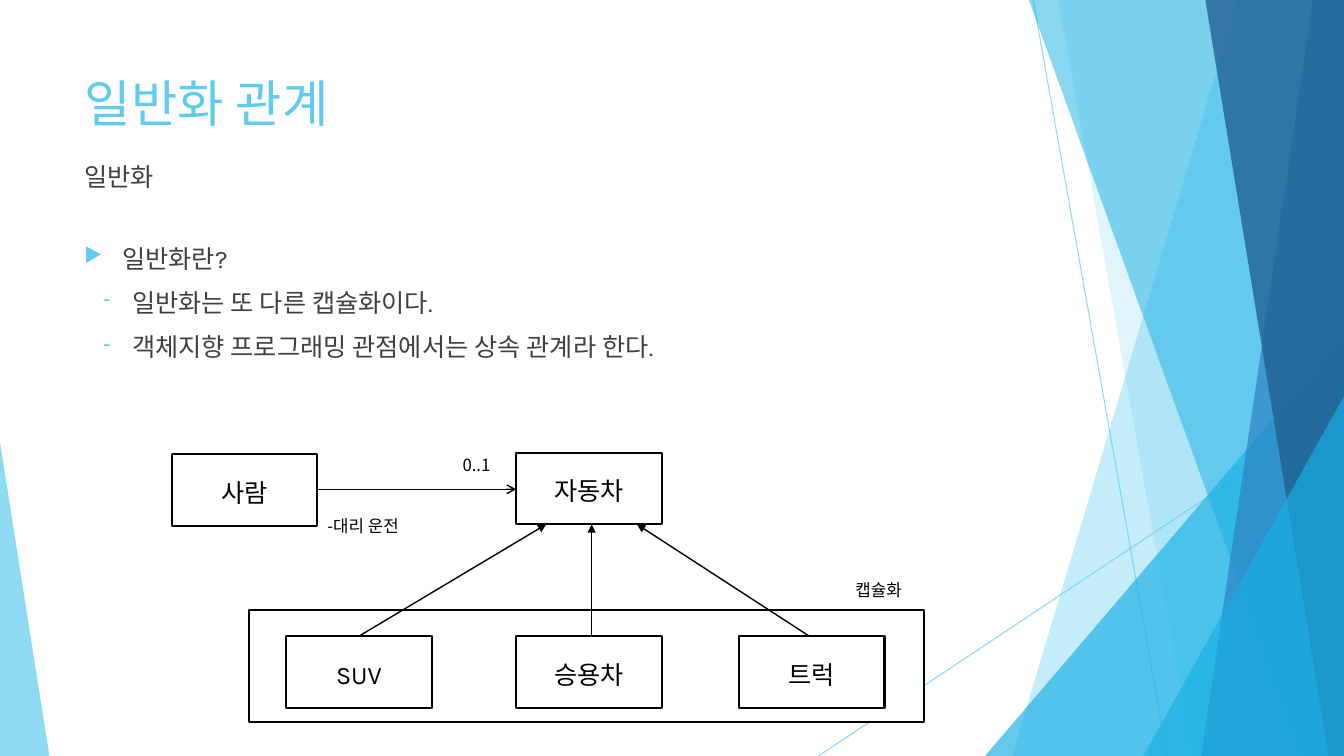
from lxml import etree
from pptx import Presentation
from pptx.dml.color import RGBColor
from pptx.enum.shapes import MSO_CONNECTOR, MSO_SHAPE
from pptx.enum.text import MSO_ANCHOR, PP_ALIGN
from pptx.oxml.ns import qn
from pptx.util import Pt

SKY = RGBColor(0x5F, 0xCB, 0xEF)
CYAN = RGBColor(0x17, 0xB0, 0xE4)
BLUE = RGBColor(0x2E, 0x83, 0xC3)
NAVY = RGBColor(0x22, 0x62, 0x92)
GREY = RGBColor(0x40, 0x40, 0x40)
BLACK = RGBColor(0, 0, 0)
WHITE = RGBColor(0xFF, 0xFF, 0xFF)

MAIN_FONT, LABEL_FONT = "Karla", "Noto Sans CJK KR"
WIDTH, HEIGHT = 960, 540
NODE_WIDTH, NODE_HEIGHT = 104, 51


def add_xml(parent, tag, **attributes):
    return etree.SubElement(parent, qn(tag), attributes)


def set_alpha(shape, percent):
    color = next(shape._element.spPr.iter(qn("a:srgbClr")))
    add_xml(color, "a:alpha", val=str(percent * 1000))


def write_text(para, text, size=18, font=MAIN_FONT, color=BLACK, align=PP_ALIGN.LEFT,
               before=0, after=0, spacing=None):
    para.alignment = align
    para.space_before, para.space_after = Pt(before), Pt(after)
    if spacing:
        para.line_spacing = spacing
    span = para.add_run()
    span.text = text
    span.font.size, span.font.name = Pt(size), font
    span.font.color.rgb = color
    add_xml(span.font._element, "a:ea", typeface=font)


def add_bullet(para, mark, margin, hanging):
    properties = para._p.get_or_add_pPr()
    properties.set("marL", str(Pt(margin)))
    properties.set("indent", str(-Pt(hanging)))
    add_xml(add_xml(properties, "a:buClr"), "a:srgbClr", val=str(SKY))
    add_xml(properties, "a:buSzPct", val="80000")
    add_xml(properties, "a:buChar", char=mark)


def paint(shape, fill, alpha=None):
    shape.shadow.inherit = False
    shape.fill.solid()
    shape.fill.fore_color.rgb = fill
    shape.line.fill.background()
    if alpha:
        set_alpha(shape, alpha)


def add_facet(page, points, fill, alpha):
    builder = page.shapes.build_freeform(*points[0], scale=Pt(1))
    builder.add_line_segments(points[1:], close=True)
    paint(builder.convert_to_shape(), fill, alpha)


def add_triangle(page, left, top, width, apex, fill, alpha):
    shape = page.shapes.add_shape(MSO_SHAPE.ISOSCELES_TRIANGLE, Pt(left), Pt(top),
                                  Pt(width), Pt(HEIGHT - top))
    shape.adjustments[0] = apex
    paint(shape, fill, alpha)


def add_line(page, start, end, color=BLACK, width=1, head=None, alpha=None):
    line = page.shapes.add_connector(MSO_CONNECTOR.STRAIGHT,
                                     *(Pt(value) for value in (*start, *end)))
    line.line.color.rgb, line.line.width = color, Pt(width)
    if head:
        add_xml(line.line._get_or_add_ln(), "a:tailEnd", type=head)
    if alpha:
        set_alpha(line, alpha)
    add_xml(line._element.spPr, "a:effectLst")


def add_box(page, left, top, width, height, line=BLACK, weight=1.5):
    box = page.shapes.add_shape(MSO_SHAPE.RECTANGLE, Pt(left), Pt(top), Pt(width), Pt(height))
    paint(box, WHITE)
    box.line.color.rgb, box.line.width = line, Pt(weight)
    return box


def add_node(page, text, left, top):
    frame = add_box(page, left, top, NODE_WIDTH, NODE_HEIGHT).text_frame
    frame.vertical_anchor = MSO_ANCHOR.MIDDLE
    write_text(frame.paragraphs[0], text, align=PP_ALIGN.CENTER, spacing=1.15)


def add_label(page, text, left, top, width, height):
    frame = add_box(page, left, top, width, height, line=WHITE, weight=0.75).text_frame
    frame.vertical_anchor = MSO_ANCHOR.TOP
    write_text(frame.paragraphs[0], text, size=12, font=LABEL_FONT,
               align=PP_ALIGN.JUSTIFY, spacing=1.15, after=10)


def add_text_box(page, top, height):
    box = page.shapes.add_textbox(Pt(53.3), Pt(top), Pt(676.8), Pt(height))
    box.text_frame.word_wrap = True
    return box.text_frame


def draw_background(page):
    add_line(page, (738, 0), (833.8, HEIGHT), SKY, 0.75, alpha=70)
    add_line(page, (WIDTH, 290.2), (584.6, HEIGHT), SKY, 0.75, alpha=70)

    def add_band(top_x, bottom_x, fill, alpha):
        add_facet(page, [(top_x, 0), (WIDTH, 0), (WIDTH, HEIGHT), (bottom_x, HEIGHT)],
                  fill, alpha)

    add_band(884.2, 722.9, SKY, 36)
    add_band(756, 851.8, SKY, 20)
    add_triangle(page, 703.6, 239.8, 256.4, 1, CYAN, 66)
    add_band(735.3, 929.5, CYAN, 50)
    add_band(938.2, 858.3, BLUE, 70)
    add_band(861.2, 949, NAVY, 80)
    add_triangle(page, 816.7, 283, 143.3, 1, CYAN, 66)
    add_triangle(page, 0, 316.1, 35.3, 0, SKY, 70)


def draw_text(page):
    title = page.shapes.title
    title.left, title.top, title.width, title.height = Pt(53.3), Pt(48.2), Pt(676.8), Pt(54.7)
    title.text_frame.vertical_anchor = MSO_ANCHOR.TOP
    write_text(title.text_frame.paragraphs[0], "일반화 관계", size=36, color=SKY)

    body = add_text_box(page, 169.9, 123.1)
    points = [("일반화란?", "▶", 27, 27),
              ("일반화는 또 다른 캡슐화이다.", "-", 34, 20.25),
              ("객체지향 프로그래밍 관점에서는 상속 관계라 한다.", "-", 34, 20.25)]
    for index, (text, mark, margin, hanging) in enumerate(points):
        para = body.add_paragraph() if index else body.paragraphs[0]
        write_text(para, text, color=GREY, before=10)
        add_bullet(para, mark, margin, hanging)

    subtitle = add_text_box(page, 111.6, 49)
    write_text(subtitle.paragraphs[0], "일반화", color=GREY, before=10)


def draw_diagram(page):
    person_left, car_left, car_top = 122.6, 368.6, 323.5
    child_top, car_bottom = 454.5, car_top + NODE_HEIGHT
    add_label(page, "-대리 운전", 226.8, 363, 77, 37.4)
    add_box(page, 177.6, 435.8, 482.6, 79.9)

    # Kinds of car, each with an arrow up to the parent
    children = [("SUV", 204.4, 256.3, 390.2),
                ("승용차", car_left, 422.6, 422.6),
                ("트럭", 527.8, 578.2, 455)]
    for text, left, start, end in children:
        add_line(page, (start, child_top), (end, car_bottom), head="triangle")
        add_node(page, text, left, child_top)

    # Person drives car
    add_node(page, "자동차", car_left, car_top)
    add_node(page, "사람", person_left, 324.5)
    add_line(page, (person_left + NODE_WIDTH, 349.5), (car_left, 349.5), head="arrow")
    add_label(page, "0..1", 323.3, 319, 39.6, 22.3)
    add_label(page, "캡슐화", 604, 408.2, 55.4, 20.9)


def main():
    deck = Presentation()
    deck.slide_width, deck.slide_height = Pt(WIDTH), Pt(HEIGHT)
    page = deck.slides.add_slide(deck.slide_layouts[5])
    draw_background(page)
    draw_text(page)
    draw_diagram(page)
    deck.save("out.pptx")


main()
